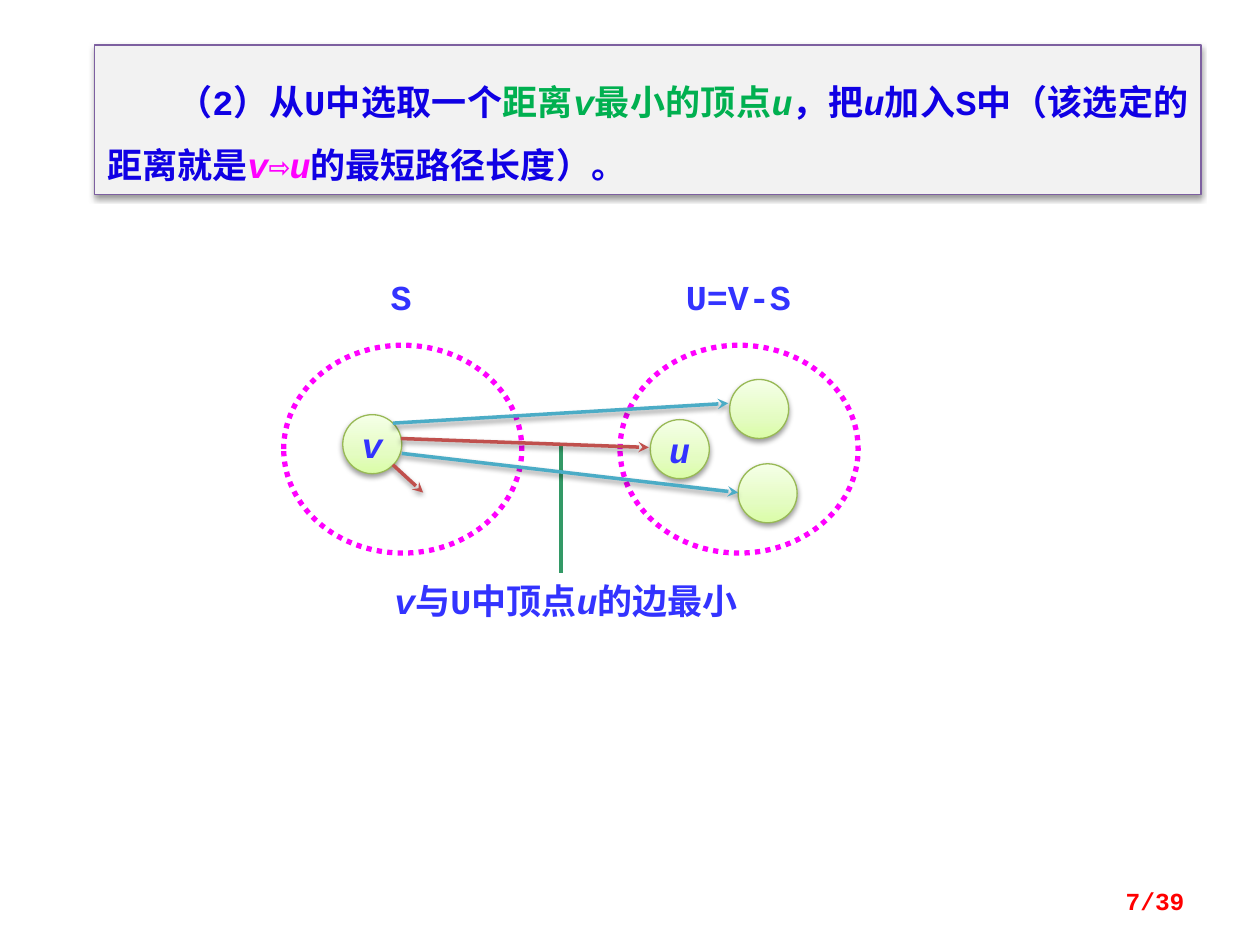
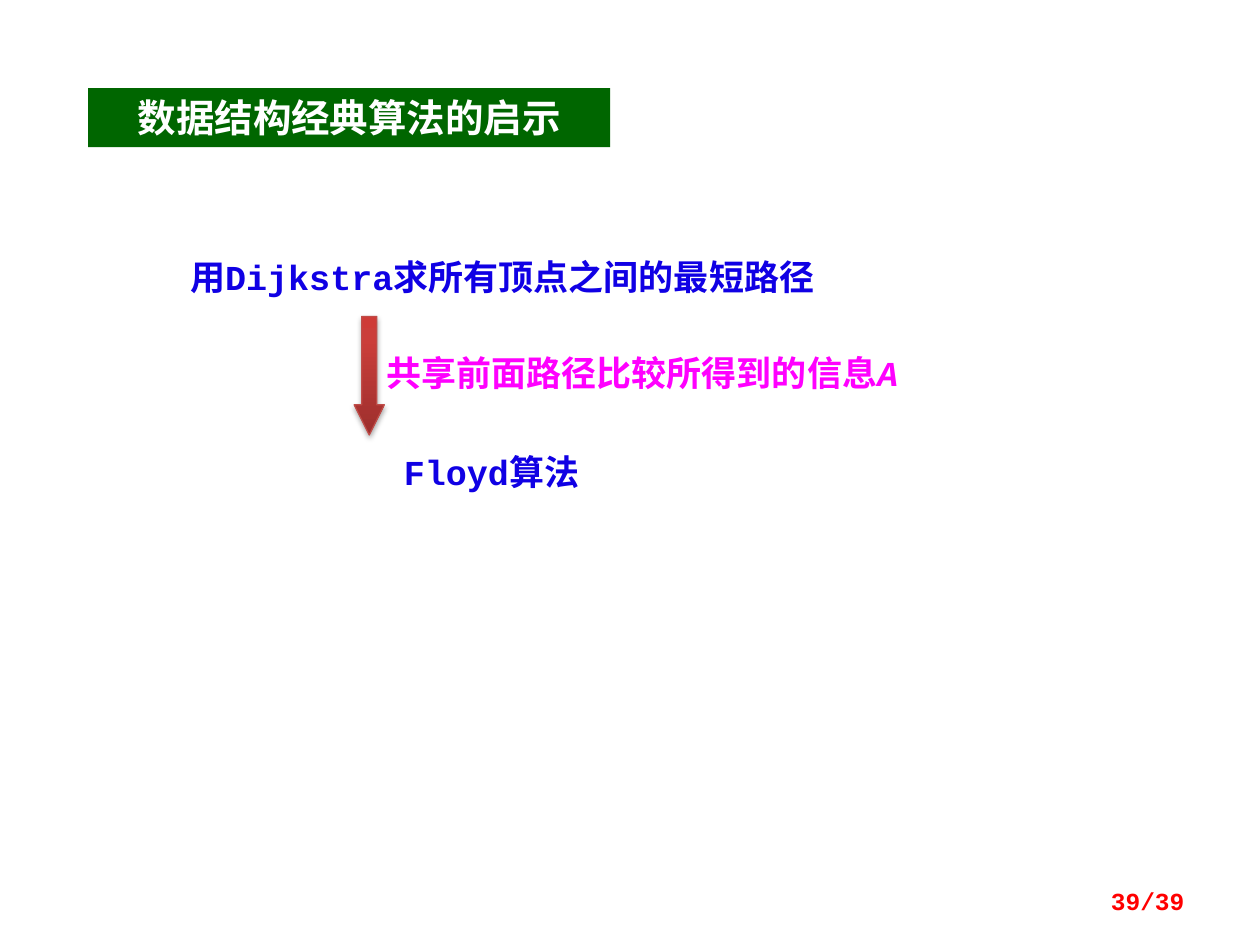
from copy import deepcopy

from lxml.etree import SubElement
from pptx import Presentation
from pptx.dml.color import RGBColor
from pptx.enum.dml import MSO_LINE
from pptx.enum.shapes import MSO_CONNECTOR, MSO_SHAPE
from pptx.enum.text import MSO_ANCHOR, PP_ALIGN
from pptx.oxml.ns import qn
from pptx.util import Cm, Pt

COLORS = {
    "blue": "1000E4", "label": "3333FF", "magenta": "FF00FF", "green": "00B050",
    "title": "006600", "white": "FFFFFF", "page": "FF0000", "panel": "F2F2F2",
    "panel_line": "7D60A0", "node_line": "98B955", "arrow_line": "BF4C48",
    "red": "C0504D", "cyan": "4BACC6", "pointer": "339966", "shadow": "000000",
}
NODE_STOPS = [(0, "DAFDA7"), (0.35, "E4FCC2"), (1, "F5FFE7")]
ARROW_STOPS = [(0, "9C2F2D"), (0.8, "CB3E3A"), (1, "CE3B37")]
LATIN, CJK = "Courier New", "Noto Sans CJK SC"
PAGE_COUNT = 39
NODE_SIZE = 1.19


def rgb(name):
    """Look up a named colour."""
    return RGBColor.from_string(COLORS[name])


def apply(target, formats):
    """Set each attribute in a dict of format values."""
    for name, value in formats.items():
        setattr(target, name, value)


def write(sp, runs, color, size=20, align=PP_ALIGN.CENTER, font=LATIN,
          spacing=None, indent=0, **frame):
    """Write runs of (text, colour or None, italic) as one bold paragraph."""
    tf = sp.text_frame
    apply(tf, {"word_wrap": True, "vertical_anchor": MSO_ANCHOR.TOP, **frame})
    p = tf.paragraphs[0]
    apply(p, {"alignment": align, "line_spacing": spacing})
    if indent:
        p._p.get_or_add_pPr().set("indent", str(Cm(indent)))
    for text, run_color, italic in runs:
        r = p.add_run()
        r.text = text
        apply(r.font, {"name": font, "size": Pt(size), "bold": True, "italic": italic})
        r.font.color.rgb = rgb(run_color or color)
        SubElement(r._r.get_or_add_rPr(), qn("a:ea"), typeface=CJK)


def plain(text):
    """Make a list with one upright run."""
    return [(text, None, False)]


def set_effects(sp, alpha=None):
    """Clear inherited effects, then add a soft drop shadow if alpha is given."""
    effects = SubElement(sp._element.spPr, qn("a:effectLst"))
    if alpha:
        shadow = SubElement(effects, qn("a:outerShdw"), blurRad=str(Pt(3.1)),
                            dist=str(Pt(1.7)), dir="5400000", rotWithShape="0")
        tint = SubElement(shadow, qn("a:srgbClr"), val=COLORS["shadow"])
        SubElement(tint, qn("a:alpha"), val=str(alpha * 1000))


def add_box(s, kind, box, fill=None, line=None, width=0.75, stops=None, alpha=None):
    """Add a preset shape with a solid, gradient or empty fill."""
    sp = s.shapes.add_shape(kind, *map(Cm, box))
    if stops:
        sp.fill.gradient()
        sp.fill.gradient_angle = 90
        gs_list = sp._element.spPr.find(".//" + qn("a:gsLst"))
        gs_list.append(deepcopy(gs_list[0]))
        for stop, (position, color) in zip(sp.fill.gradient_stops, stops):
            stop.position = position
            stop.color.rgb = RGBColor.from_string(color)
    elif fill:
        sp.fill.solid()
        sp.fill.fore_color.rgb = rgb(fill)
    else:
        sp.fill.background()
    if line:
        sp.line.color.rgb = rgb(line)
        sp.line.width = Pt(width)
    else:
        sp.line.fill.background()
    set_effects(sp, alpha)
    return sp


def add_text(s, box, runs, color, **formats):
    """Add a text box."""
    write(s.shapes.add_textbox(*map(Cm, box)), runs, color, **formats)


def add_label(s, box, text):
    """Add a set name without insets."""
    margins = dict.fromkeys(
        ("margin_left", "margin_top", "margin_right", "margin_bottom"), 0)
    add_text(s, box, plain(text), "label", **margins)


def add_vertex_set(s, left):
    """Add a dotted ellipse around a set of vertices."""
    sp = add_box(s, MSO_SHAPE.OVAL, (left, 6.96, 4.8, 4.19), line="magenta", width=3)
    sp.line.dash_style = MSO_LINE.ROUND_DOT


def add_node(s, left, top, name=None):
    """Add a vertex circle with an optional name."""
    sp = add_box(s, MSO_SHAPE.OVAL, (left, top, NODE_SIZE, NODE_SIZE),
                 line="node_line", stops=NODE_STOPS, alpha=38)
    if name:
        write(sp, [(name, None, True)], "label", word_wrap=False,
              vertical_anchor=MSO_ANCHOR.MIDDLE)


def add_line(s, ends, color, width=2, arrow=True):
    """Add a straight line, as a shadowed arrow unless told otherwise."""
    cn = s.shapes.add_connector(MSO_CONNECTOR.STRAIGHT, *map(Cm, ends))
    cn.line.color.rgb = rgb(color)
    cn.line.width = Pt(width)
    if arrow:
        SubElement(cn.line._get_or_add_ln(), qn("a:tailEnd"), type="stealth")
    set_effects(cn, 38 if arrow else None)


def add_step(s, box, text):
    """Add a white box naming an algorithm step."""
    sp = add_box(s, MSO_SHAPE.RECTANGLE, box, fill="white")
    write(sp, plain(text), "blue", margin_top=Cm(0.2), margin_bottom=Cm(0.2))


def add_slide(prs, number):
    """Add a blank slide with its page number."""
    s = prs.slides.add_slide(prs.slide_layouts[6])
    add_text(s, (18.21, 17.65, 5.92, 1.02), plain(f"{number}/{PAGE_COUNT}"), "page",
             size=14, align=PP_ALIGN.RIGHT, vertical_anchor=MSO_ANCHOR.MIDDLE)
    return s


def build_selection(prs):
    """Build the slide on choosing the nearest vertex."""
    s = add_slide(prs, 7)
    for left in (12.5, 5.72):
        add_vertex_set(s, left)
    panel = add_box(s, MSO_SHAPE.RECTANGLE, (1.91, 0.91, 22.3, 3.02),
                    fill="panel", line="panel_line", alpha=38)
    write(panel, [
        ("（2）从U中选取一个", None, False),
        ("距离", "green", False), ("v", "green", True),
        ("最小的顶点", "green", False), ("u", "green", True),
        ("，把", None, False), ("u", None, True),
        ("加入S中（该选定的距离就是", None, False),
        ("v", "magenta", True), ("⇨", "magenta", False), ("u", "magenta", True),
        ("的最短路径长度）。", None, False),
    ], "blue", align=PP_ALIGN.JUSTIFY, spacing=1.5, indent=1.41,
        margin_top=Cm(0.3), margin_bottom=Cm(0.3))
    add_label(s, (7.29, 5.56, 1.6, 0.86), "S")
    add_label(s, (13.49, 5.56, 2.79, 0.86), "U=V-S")
    for node in ((6.91, 8.36, "v"), (13.11, 8.46, "u"), (14.88, 9.35), (14.71, 7.65)):
        add_node(s, *node)
    add_text(s, (7.7, 11.56, 7.59, 1.12), [
        ("v", None, True), ("与U中顶点", None, False),
        ("u", None, True), ("的边最小", None, False),
    ], "label", align=PP_ALIGN.LEFT)
    add_line(s, (11.3, 8.97, 11.3, 11.56), "pointer", width=2.25, arrow=False)
    for ends, color in (
        ((8.08, 8.84, 13.08, 9.02), "red"),
        ((7.92, 9.37, 8.53, 9.93), "red"),
        ((7.92, 8.53, 14.68, 8.13), "cyan"),
        ((8.1, 9.14, 14.88, 9.93), "cyan"),
    ):
        add_line(s, ends, color)


def build_insight(prs):
    """Build the slide leading from Dijkstra to Floyd."""
    s = add_slide(prs, PAGE_COUNT)
    title = add_box(s, MSO_SHAPE.RECTANGLE, (1.78, 1.78, 10.52, 1.19), fill="title")
    write(title, plain("数据结构经典算法的启示"), "white", size=22, font=CJK)
    add_step(s, (3.38, 4.95, 13.49, 1.27), "用Dijkstra求所有顶点之间的最短路径")
    add_step(s, (3.94, 8.89, 11.94, 1.27), "Floyd算法")
    add_text(s, (7.54, 6.96, 12.47, 1.12),
             [("共享前面路径比较所得到的信息", None, False), ("A", None, True)],
             "magenta", align=PP_ALIGN.LEFT)
    arrow = add_box(s, MSO_SHAPE.DOWN_ARROW, (7.14, 6.38, 0.61, 2.39),
                    line="arrow_line", stops=ARROW_STOPS, alpha=35)
    arrow.adjustments[0], arrow.adjustments[1] = 0.5, 1


def main():
    """Build and save the presentation."""
    prs = Presentation()
    apply(prs, {"slide_width": Cm(25.4), "slide_height": Cm(19.05)})
    build_selection(prs)
    build_insight(prs)
    prs.save("out.pptx")


if __name__ == "__main__":
    main()
